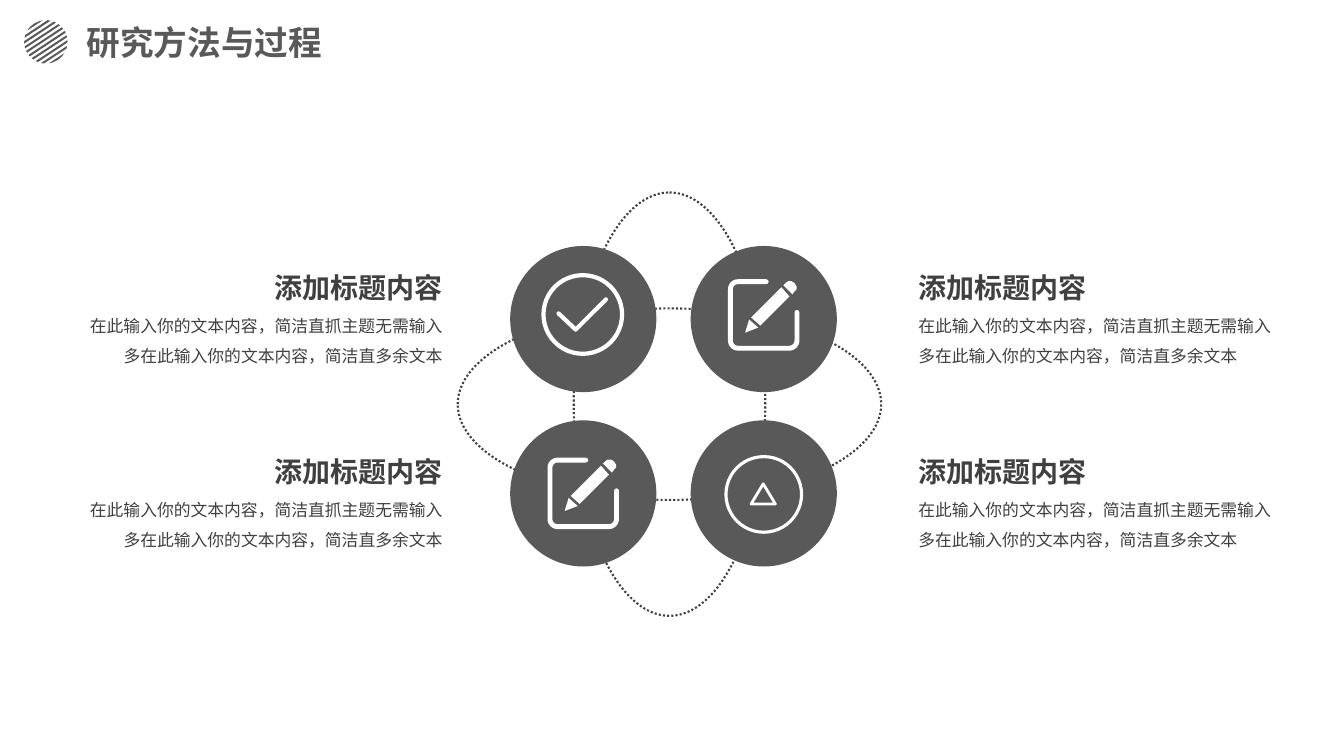
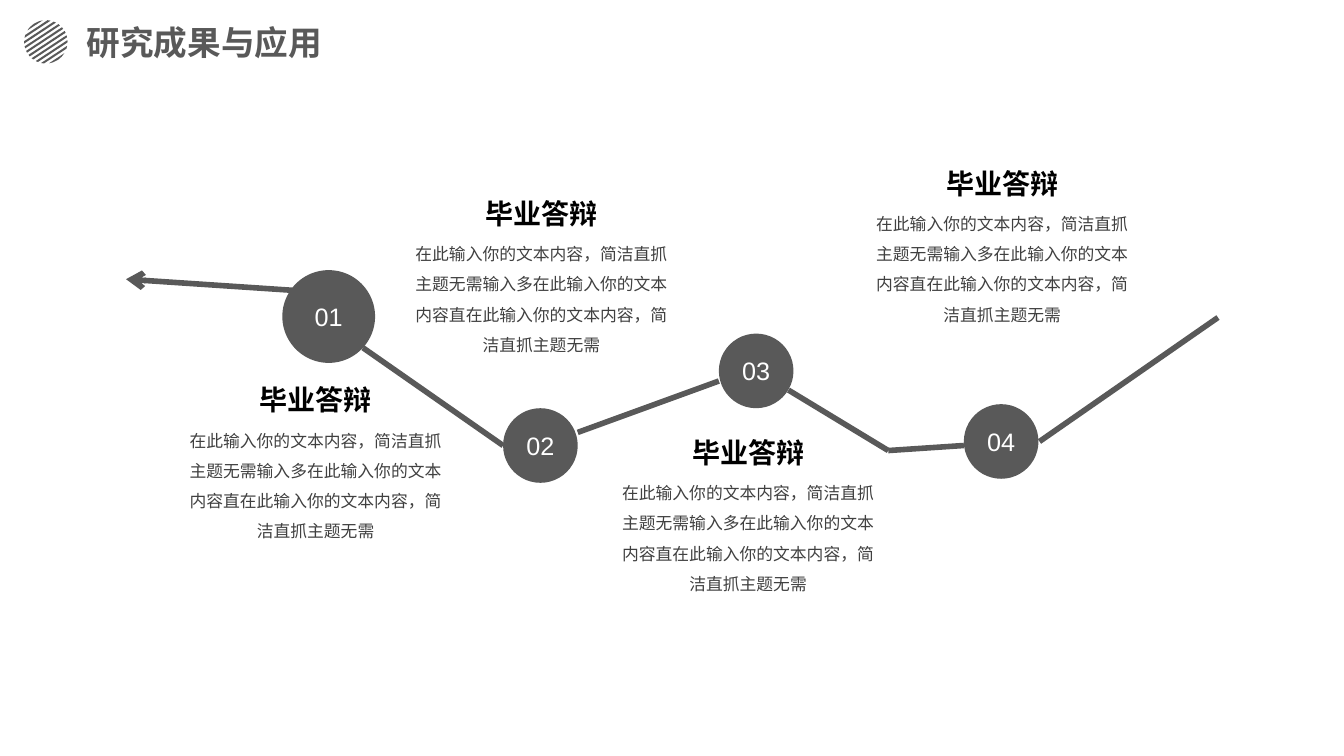
import math

from lxml import etree
from pptx import Presentation
from pptx import util as u
from pptx.dml import color
from pptx.enum import dml, lang, shapes, text
from pptx.oxml import ns

PX = 9144
FONT = "Arial"
GREY = "595959"
DARK = "404040"
BLACK = "000000"
WHITE = "FFFFFF"
LEFT, CENTER, RIGHT = text.PP_ALIGN.LEFT, text.PP_ALIGN.CENTER, text.PP_ALIGN.RIGHT

METHOD_TITLE = "添加标题内容"
METHOD_BODY = "在此输入你的文本内容，简洁直抓主题无需输入多在此输入你的文本内容，简洁直多余文本"
RESULT_TITLE = "毕业答辩"
RESULT_BODY = "在此输入你的文本内容，简洁直抓主题无需输入多在此输入你的文本内容直在此输入你的文本内容，简洁直抓主题无需"

PENCIL = [
    [(61, 17), (32, 46), (23, 38), (53, 8)],
    [(21, 40), (30, 48), (17, 53)],
    [(64, 15), (55, 6), (58, 3), (60, 2), (63, 2), (65, 3),
     (66, 4), (68, 7), (68, 10), (66, 12)],
]


def px(*lengths):
    return [round(length * PX) for length in lengths]


def rgb(value):
    return color.RGBColor.from_string(value)


def style(shape, fill=None, line=None, weight=1, dash=None):
    shape.shadow.inherit = False
    if fill:
        shape.fill.solid()
        shape.fill.fore_color.rgb = rgb(fill)
    else:
        shape.fill.background()
    if line:
        shape.line.color.rgb = rgb(line)
        shape.line.width = u.Pt(weight)
        if dash:
            shape.line.dash_style = dash
    else:
        shape.line.fill.background()


def write(shape, words, size, colour, align, bold=False, spacing=None):
    frame = shape.text_frame
    frame.text = words
    paragraph = frame.paragraphs[0]
    paragraph.alignment = align
    if spacing:
        paragraph.line_spacing = spacing
    font = paragraph.runs[0].font
    font.size = u.Pt(size)
    font.bold = bold
    font.color.rgb = rgb(colour)
    font.name = FONT
    font.language_id = lang.MSO_LANGUAGE_ID.SIMPLIFIED_CHINESE
    for latin in shape.element.iter(ns.qn("a:latin")):
        east_asian = etree.Element(ns.qn("a:ea"), typeface=FONT)
        latin.addnext(east_asian)


def add_text(slide, box, words, size, colour, align=LEFT, inset=True, **options):
    shape = slide.shapes.add_textbox(*px(*box))
    frame = shape.text_frame
    frame.word_wrap = True
    frame.auto_size = text.MSO_AUTO_SIZE.SHAPE_TO_FIT_TEXT
    if not inset:
        frame.margin_left = frame.margin_right = 0
        frame.margin_top = frame.margin_bottom = 0
    write(shape, words, size, colour, align, **options)


def add_caption(slide, box, title, body, colour, align, title_height):
    left, top, width, height = box
    add_text(slide, (left, top, width, 44), title, 20, colour, align, bold=True)
    add_text(slide, (left, top + title_height, width, height), body, 12, DARK, align,
             spacing=1.5)


def add_ellipse(slide, box, **look):
    shape = slide.shapes.add_shape(shapes.MSO_SHAPE.OVAL, *px(*box))
    style(shape, **look)
    return shape


def add_outline(slide, left, top, contours, close=True, **look):
    placed = [[px(left + x, top + y) for x, y in contour] for contour in contours]
    builder = slide.shapes.build_freeform(*placed[0][0], scale=1.0)
    for index, contour in enumerate(placed):
        if index:
            builder.move_to(*contour[0])
        builder.add_line_segments(contour[1:], close=close)
    shape = builder.convert_to_shape()
    style(shape, **look)
    return shape


def add_stroke(slide, left, top, points, weight, close=False):
    shape = add_outline(slide, left, top, [points], close, line=WHITE, weight=weight)
    line = shape.element.spPr.find(ns.qn("a:ln"))
    line.set("cap", "rnd")
    etree.SubElement(line, ns.qn("a:round"))


def add_line(slide, start, end, arrow=False):
    connector = slide.shapes.add_connector(
        shapes.MSO_CONNECTOR.STRAIGHT, *px(*start, *end))
    connector.line.color.rgb = rgb(GREY)
    connector.line.width = u.Pt(4)
    properties = connector.element.spPr
    if arrow:
        etree.SubElement(properties.find(ns.qn("a:ln")), ns.qn("a:tailEnd"), type="arrow")
    etree.SubElement(properties, ns.qn("a:effectLst"))


def arc(x, y, radius, start, end, steps=8):
    angles = [math.radians(start + (end - start) * i / steps) for i in range(steps + 1)]
    return [(x + radius * math.cos(a), y + radius * math.sin(a)) for a in angles]


def add_striped_disc(slide, left, top, diameter, count=10, thickness=2):
    radius = diameter / 2
    pitch = (diameter - thickness) / (count - 1)
    stripes = []
    for index in range(count):
        heights = [index * pitch + thickness * step / 4 for step in range(5)]
        edge = [(math.sqrt(max(0, radius ** 2 - (y - radius) ** 2)), y) for y in heights]
        stripes.append([(radius + x, y) for x, y in edge]
                       + [(radius - x, y) for x, y in reversed(edge)])
    add_outline(slide, left, top, stripes, fill=GREY).rotation = 326.6


def add_check_icon(slide, left, top):
    add_ellipse(slide, (left + 2, top + 2, 78, 78), line=WHITE, weight=3)
    add_stroke(slide, left, top, [(17, 40), (34, 56), (64, 26)], 3)


def add_triangle_icon(slide, left, top):
    add_ellipse(slide, (left + 2, top + 2, 75, 75), line=WHITE, weight=2.25)
    add_stroke(slide, left, top, [(39, 29), (51, 49), (27, 49)], 2, close=True)


def add_edit_icon(slide, left, top):
    near, far, radius = 10, 61, 7.5
    frame = [(38, near - radius)]
    frame += arc(near, near, radius, 270, 180)
    frame += arc(near, far, radius, 180, 90)
    frame += arc(far, far, radius, 90, 0)
    frame.append((far + radius, 33))
    add_stroke(slide, left, top, frame, 3.5)
    add_outline(slide, left, top, PENCIL, fill=WHITE)


def add_titled_slide(presentation, title):
    slide = presentation.slides.add_slide(presentation.slide_layouts[6])
    add_striped_disc(slide, 24, 20, 43)
    add_text(slide, (86, 22, 262, 40), title, 24, GREY, inset=False, bold=True)
    return slide


def build_methods(presentation):
    slide = add_titled_slide(presentation, "研究方法与过程")
    for rotation in (0, 90):
        orbit = add_ellipse(slide, (454, 306, 420, 190), line=DARK, weight=1.5,
                            dash=dml.MSO_LINE.ROUND_DOT)
        orbit.rotation = rotation
    for top in (244, 417):
        for left in (506, 685):
            add_ellipse(slide, (left, top, 145, 145), fill=GREY)
    for left, align in ((901, LEFT), (75, RIGHT)):
        for top in (263, 446):
            add_caption(slide, (left, top, 374, 67), METHOD_TITLE, METHOD_BODY,
                        DARK, align, 35)
    add_check_icon(slide, 537, 271)
    add_triangle_icon(slide, 718, 451)
    for left, top in ((722, 277), (543, 454)):
        add_edit_icon(slide, left, top)


def build_results(presentation):
    slide = add_titled_slide(presentation, "研究成果与应用")
    for start, end in (
        ((1208, 315), (1031, 438)),
        ((956, 442), (881, 447)),
        ((881, 447), (782, 387)),
        ((713, 378), (573, 429)),
        ((499, 442), (360, 345)),
    ):
        add_line(slide, start, end)
    add_line(slide, (290, 288), (125, 277), arrow=True)
    steps = (
        (280, 268, 92, 174, 375),
        (499, 405, 74, 398, 190),
        (713, 331, 74, 603, 427),
        (956, 401, 74, 855, 160),
    )
    for number, (left, top, size, caption_left, caption_top) in enumerate(steps, 1):
        badge = add_ellipse(slide, (left, top, size, size), fill=GREY)
        badge.text_frame.vertical_anchor = text.MSO_ANCHOR.MIDDLE
        write(badge, f"{number:02}", 18, WHITE, CENTER)
        add_caption(slide, (caption_left, caption_top, 278, 131), RESULT_TITLE,
                    RESULT_BODY, BLACK, CENTER, 37)


def main():
    presentation = Presentation()
    presentation.slide_width, presentation.slide_height = px(1333, 750)
    build_methods(presentation)
    build_results(presentation)
    presentation.save("out.pptx")


if __name__ == "__main__":
    main()
